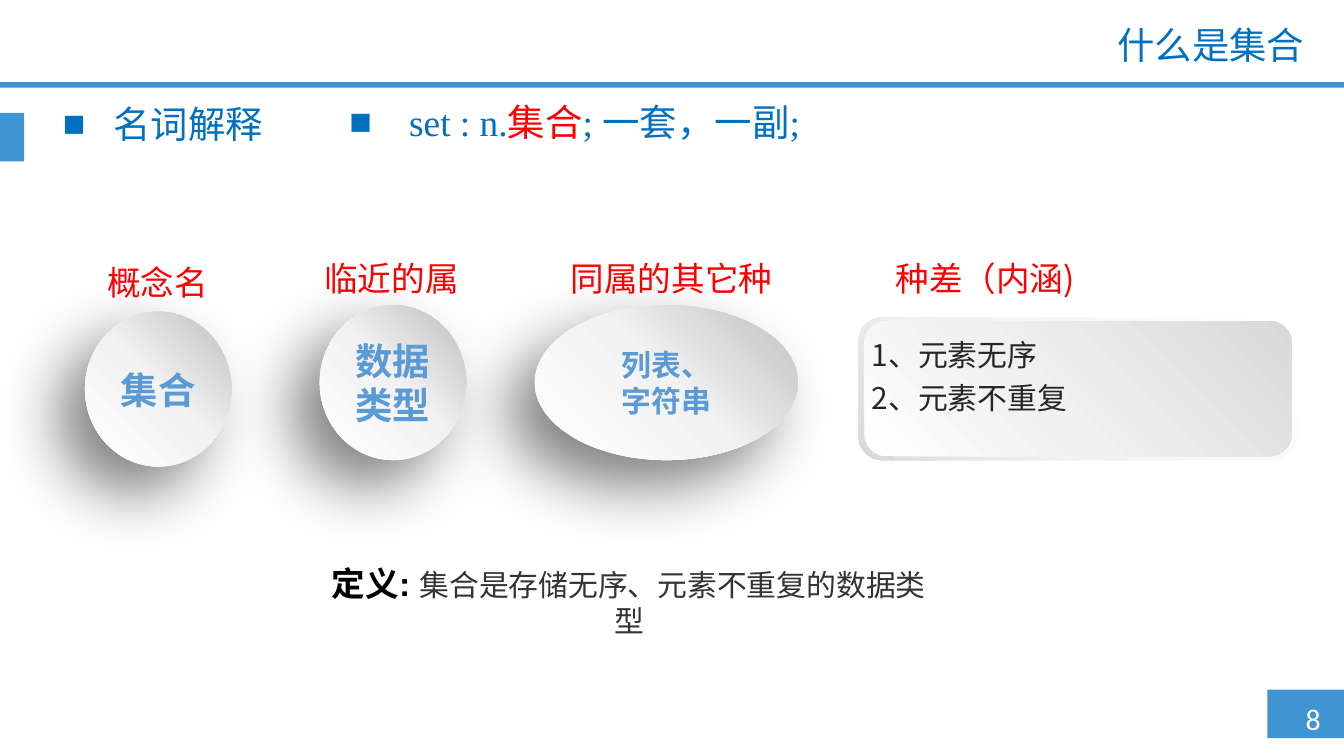
from lxml import etree
from pptx import Presentation
from pptx.dml.color import RGBColor
from pptx.enum.shapes import MSO_SHAPE
from pptx.enum.text import MSO_ANCHOR, MSO_AUTO_SIZE, PP_ALIGN
from pptx.oxml import parse_xml
from pptx.oxml.ns import nsdecls, qn
from pptx.util import Pt

WHITE = RGBColor(0xFF, 0xFF, 0xFF)
BLACK = RGBColor(0x00, 0x00, 0x00)
BAND_BLUE = RGBColor(0x3F, 0x95, 0xD2)
TEXT_BLUE = RGBColor(0x00, 0x70, 0xC0)
SOFT_BLUE = RGBColor(0x5B, 0x9B, 0xD5)
RED = RGBColor(0xFF, 0x00, 0x00)
INK = RGBColor(0x26, 0x26, 0x26)
GREY = RGBColor(0x33, 0x33, 0x33)
LIGHT = RGBColor(0xF2, 0xF2, 0xF2)
PALE = RGBColor(0xF0, 0xF0, 0xF0)
SILVER = RGBColor(0xD9, 0xD9, 0xD9)
DARK_SILVER = RGBColor(0xBF, 0xBF, 0xBF)
CJK = "Noto Sans CJK SC"


def add_gradient_shape(shapes, kind, place, angle, stops):
    """Add a borderless shape; angle runs counter-clockwise, stops are in percent."""
    shape = shapes.add_shape(kind, *map(Pt, place))
    shape.shadow.inherit = False
    shape.line.fill.background()
    shape.fill.gradient()
    shape.fill.gradient_angle = angle
    stop_list = shape.element.spPr.find(".//" + qn("a:gsLst"))
    for stop in list(stop_list):
        stop_list.remove(stop)
    for percent, color in stops:
        stop = etree.SubElement(stop_list, qn("a:gs"), pos=str(percent * 1000))
        etree.SubElement(stop, qn("a:srgbClr"), val=str(color))
    return shape


def add_text(place, lines, font, size, color, align=PP_ALIGN.CENTER, spacing=1.0):
    box = page.shapes.add_textbox(*map(Pt, place))
    frame = box.text_frame
    frame.word_wrap = True
    frame.text = "\n".join(lines)
    for para in frame.paragraphs:
        para.alignment = align
        para.line_spacing = spacing
        para.font.name, para.font.size = font, Pt(size)
        para.font.color.rgb = color
    return box


deck = Presentation()
deck.slide_width, deck.slide_height = Pt(720), Pt(405)
page = deck.slides.add_slide(deck.slide_layouts[3])
title, meaning, term = page.placeholders

# Blue bands: page number corner, header line, side tab
for place in [(679, 369.5, 41, 26), (0, 44, 720, 3), (0, 60.5, 13, 26)]:
    band = page.shapes.add_shape(MSO_SHAPE.RECTANGLE, *map(Pt, place))
    band.shadow.inherit = False
    band.fill.solid()
    band.fill.fore_color.rgb = BAND_BLUE
    band.line.fill.background()
add_text((685, 372, 37, 27), ["8"], "Calibri", 16, WHITE)

# Title
title.left, title.top, title.width, title.height = map(Pt, (173, 11, 533, 29))
title.text_frame.text = "什么是集合"
title.text_frame.vertical_anchor = MSO_ANCHOR.MIDDLE
title.text_frame.auto_size = MSO_AUTO_SIZE.NONE
para = title.text_frame.paragraphs[0]
para.alignment = PP_ALIGN.RIGHT
para.line_spacing = 0.9
para.font.name, para.font.size = "Arial", Pt(20)
para.font.color.rgb = TEXT_BLUE

# Two bulleted headings
headings = [
    (term, (26.5, 50.5, 144, 31.5), [("名词解释", TEXT_BLUE)]),
    (meaning, (180, 49.5, 330.5, 31.5),
     [(" set : n.", TEXT_BLUE), ("集合", RED), ("; 一套，一副;", TEXT_BLUE)]),
]
for box, place, spans in headings:
    box.left, box.top, box.width, box.height = map(Pt, place)
    box.text_frame.auto_size = MSO_AUTO_SIZE.NONE
    para = box.text_frame.paragraphs[0]
    para.alignment = PP_ALIGN.JUSTIFY
    para.space_before, para.space_after = Pt(0), Pt(3)
    props = para._p.get_or_add_pPr()
    props.set("marL", str(Pt(27)))
    props.set("indent", str(Pt(-27)))
    props.append(parse_xml(f'<a:buFont {nsdecls("a")} typeface="Arial"/>'))
    props.append(parse_xml(f'<a:buChar {nsdecls("a")} char="■"/>'))
    para.font.name, para.font.size = "Times New Roman", Pt(20)
    for text, color in spans:
        span = para.add_run()
        span.text = text
        span.font.color.rgb = color

# Red labels over the four parts
labels = [
    ("概念名", 11.5, 137, 146),
    ("临近的属", 157.5, 134.5, 104.5),
    ("同属的其它种", 279.5, 134.5, 160.5),
    ("种差（内涵)", 458, 134.5, 139.5),
]
for text, left, top, width in labels:
    add_text((left, top, width, 29), [text], CJK, 18, RED)

# Shaded ellipses
ellipses = [
    (["集合"], (45.5, 167, 78.5, 83), "Calibri", 20),
    (["数据类型"], (171.25, 163.5, 78.5, 83), CJK, 20),
    (["列表、", "字符串"], (286.5, 163.5, 141, 83), "Calibri", 16),
]
for lines, place, font, size in ellipses:
    ellipse = add_gradient_shape(page.shapes, MSO_SHAPE.OVAL, place, 45,
                                 [(0, WHITE), (51, LIGHT), (100, DARK_SILVER)])
    effects = ellipse.element.spPr.find(qn("a:effectLst"))
    effects.append(parse_xml(
        f'<a:outerShdw {nsdecls("a")} blurRad="{Pt(35)}" dist="{Pt(20)}" dir="8100000" '
        'algn="tr" rotWithShape="0"><a:srgbClr val="000000"><a:alpha val="50000"/>'
        '</a:srgbClr></a:outerShdw>'))
    frame = ellipse.text_frame
    frame.vertical_anchor = MSO_ANCHOR.MIDDLE
    frame.text = "\n".join(lines)
    for para in frame.paragraphs:
        para.alignment = PP_ALIGN.CENTER
        para.font.name, para.font.size, para.font.bold = font, Pt(size), True
        para.font.color.rgb = SOFT_BLUE

# Panel: rim and face, shaded in opposite directions
panel = page.shapes.add_group_shape()
add_gradient_shape(panel.shapes, MSO_SHAPE.ROUNDED_RECTANGLE, (460, 170, 235, 76.5), 225,
                   [(0, WHITE), (62, LIGHT), (100, SILVER)])
add_gradient_shape(panel.shapes, MSO_SHAPE.ROUNDED_RECTANGLE, (463, 172, 229, 72.5), 45,
                   [(0, WHITE), (42, PALE), (100, SILVER)])
add_text((460, 173, 189.5, 75), ["1、元素无序", "2、元素不重复"], CJK, 16, INK,
         PP_ALIGN.LEFT, 1.2)

# Definition
definition = add_text((163.5, 298, 347, 50), [""], CJK, 16, GREY)
para = definition.text_frame.paragraphs[0]
lead = para.add_run()
lead.text = "定义: "
lead.font.name, lead.font.size, lead.font.bold = "Arial", Pt(18), True
lead.font.color.rgb = BLACK
span = para.add_run()
span.text = "集合是存储无序、元素不重复的数据类型"

deck.save("out.pptx")
